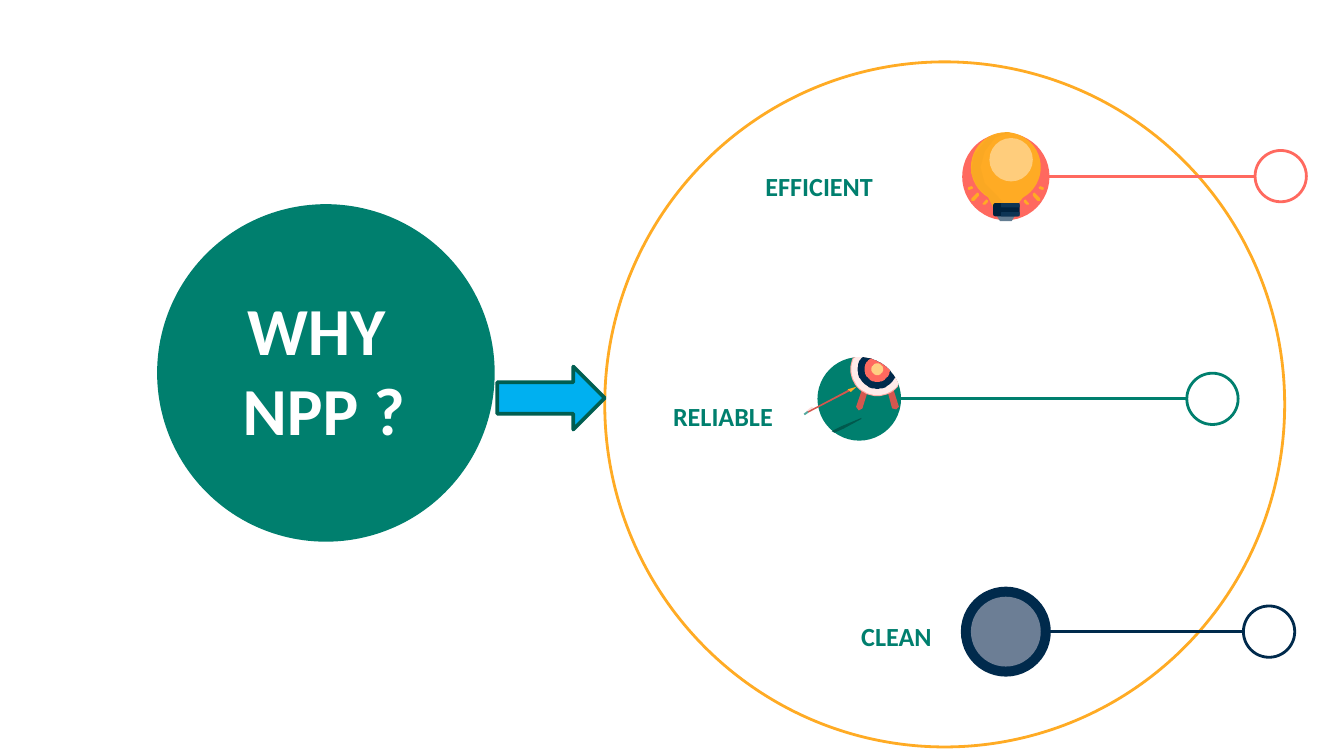
"""Builds the WHY NPP slide with three reasons inside a ring."""
import math
from pptx import Presentation
from pptx import util as u
from pptx.dml import color
from pptx.enum import shapes, text
from lxml import etree

Cm = u.Cm
HUE = {
    "green": "007F6E", "coral": "FF695F", "navy": "002A4C", "amber": "FFAB24",
    "white": "FFFFFF", "sky": "00B0F0", "edge": "005E51", "steel": "637D92",
    "slate": "6C7E95", "honey": "FAA823", "glow": "FFCD7C", "ink": "00223E",
    "band": "0D3555", "brick": "D4574F", "pink": "FFA9A4", "blush": "FFEBEA",
    "gold": "FFCF82", "rose": "FFDEDC", "mint": "54A99E", "shade": "00594D",
}
RGB = {name: color.RGBColor.from_string(code) for name, code in HUE.items()}
KIND = shapes.MSO_SHAPE

deck = Presentation()
deck.slide_width, deck.slide_height = Cm(25.4), Cm(14.29)
slide = deck.slides.add_slide(deck.slide_layouts[6])
tree = slide.shapes


def draw(kind, x, y, w, h, fill=None, line=None, size=1.5):
    item = tree.add_shape(kind, Cm(x), Cm(y), Cm(w), Cm(h))
    item.shadow.inherit = False
    if fill:
        item.fill.solid()
        item.fill.fore_color.rgb = RGB[fill]
    else:
        item.fill.background()
    if line:
        item.line.color.rgb = RGB[line]
        item.line.width = u.Pt(size)
    else:
        item.line.fill.background()


def trace(mid, fill, dots):
    pen = tree.build_freeform(*dots[0], scale=float(Cm(0.01)))
    pen.add_line_segments(dots[1:], close=True)
    item = pen.convert_to_shape(Cm(mid[0]), Cm(mid[1]))
    item.shadow.inherit = False
    item.fill.solid()
    item.fill.fore_color.rgb = RGB[fill]
    item.line.fill.background()


draw(KIND.OVAL, 11.43, 1.17, 12.85, 12.95, line="amber")
draw(KIND.OVAL, 2.97, 3.86, 6.38, 6.38, "green")

LEFT, MID, RIGHT = text.PP_ALIGN.LEFT, text.PP_ALIGN.CENTER, text.PP_ALIGN.RIGHT
labels = [
    ("WHY \vNPP ?", 3.68, 3.02, 4.88, 5.72, 36, "white", MID),
    ("EFFICIENT", 13.21, 3.3, 4.55, 0.76, 14, "green", MID),
    ("RELIABLE", 10.31, 7.65, 4.55, 0.76, 14, "green", RIGHT),
    ("CLEAN", 13.31, 11.81, 4.55, 0.76, 14, "green", RIGHT),
]
for words, x, y, w, h, size, hue, side in labels:
    frame = tree.add_textbox(Cm(x), Cm(y), Cm(w), Cm(h)).text_frame
    frame.word_wrap = True
    frame.vertical_anchor = text.MSO_ANCHOR.BOTTOM
    frame.margin_left = frame.margin_right = Cm(0.25)
    frame.margin_top = frame.margin_bottom = Cm(0.25)
    para = frame.paragraphs[0]
    para.text = words
    para.alignment = side
    para.font.name = "Calibri"
    para.font.size = u.Pt(size)
    para.font.bold = True
    para.font.color.rgb = RGB[hue]

ring = 0.97
rows = [
    (19, 23.72, 3.33, "coral"),
    (16.36, 22.43, 7.54, "green"),
    (18.64, 23.5, 11.94, "navy"),
]
for start, end, y, hue in rows:
    draw(KIND.OVAL, end, y - ring / 2, ring, ring, line=hue)
    wire = tree.add_connector(shapes.MSO_CONNECTOR.STRAIGHT, Cm(start), Cm(y), Cm(end), Cm(y))
    wire.line.color.rgb = RGB[hue]
    wire.line.width = u.Pt(1.5)
    props = wire.line._get_or_add_ln().getparent()
    etree.SubElement(props, "{http://schemas.openxmlformats.org/drawingml/2006/main}effectLst")

bulb, goal = (19.01, 3.34), (16.24, 7.54)
discs = [
    (19.01, 11.94, 1.7, "navy"), (19.01, 11.94, 1.32, "slate"),
    (*bulb, 1.65, "coral"), (*goal, 1.58, "green"), (19.01, 3.16, 1.32, "amber"),
]
for x, y, wide, hue in discs:
    draw(KIND.OVAL, x - wide / 2, y - wide / 2, wide, wide, hue)

trace(bulb, "steel", [(-19, 66), (-16, 76), (-11, 84), (11, 84), (16, 76), (19, 66)])
rays = [
    [(62, 20), (65, 18), (71, 20), (72, 24), (69, 25), (63, 23)],
    [(51, 32), (54, 30), (65, 41), (65, 46), (60, 46), (51, 36)],
    [(34, 45), (37, 43), (44, 51), (43, 53), (39, 53), (34, 48)],
]
for flip in (1, -1):
    for ray in rays:
        trace(bulb, "amber", [(flip * x, y) for x, y in ray])
trace(bulb, "amber", [(-35, 36), (-24, 50), (-19, 68), (19, 68), (24, 50), (35, 36)])
trace(bulb, "honey", [
    (0, -84), (-33, -74), (-60, -41), (-66, -8), (-53, 20), (-35, 36), (-19, 68), (0, 68),
    (-4, 50), (-17, 36), (-40, 13), (-48, -18), (-40, -48), (-20, -74), (8, -84),
])
draw(KIND.OVAL, 18.7, 2.61, 0.82, 0.82, "glow")
draw(KIND.ROUNDED_RECTANGLE, 18.77, 3.84, 0.5, 0.25, "ink")
for y in (3.84, 4.01):
    draw(KIND.ROUNDED_RECTANGLE, 18.92, y, 0.35, 0.08, "band")

trace(goal, "brick", [(19, -58), (29, -56), (6, 18), (-1, 22), (-6, 15)])
trace(goal, "brick", [(42, -58), (52, -57), (75, 15), (70, 20), (62, 18)])
eye, rim = (34, -56), 79
for reach, hue in [(51, "pink"), (49, "blush"), (37, "navy"), (24, "coral"), (11, "gold")]:
    dots = []
    for turn in range(0, 360, 5):
        dx, dy = math.cos(math.radians(turn)), math.sin(math.radians(turn))
        dot = eye[0] * dx + eye[1] * dy
        gap = math.sqrt(dot ** 2 + rim ** 2 - eye[0] ** 2 - eye[1] ** 2) - dot
        far = min(reach, gap)
        dots.append((eye[0] + far * dx, eye[1] + far * dy))
    trace(goal, hue, dots)

dart = [
    ("rose", [(-90, 15), (-100, 23), (-98, 26), (-86, 21), (-85, 18)]),
    ("brick", [(-100, 25), (-19, -18), (-17, -15), (-98, 27)]),
    ("amber", [(-22, -18), (-5, -23), (-16, -13)]),
    ("mint", [(-98, 23), (-105, 28), (-103, 31), (-96, 26)]),
    ("shade", [(4, 36), (-32, 51), (-52, 61), (-47, 64), (-29, 56), (4, 38)]),
]
for hue, dots in dart:
    trace(goal, hue, dots)

draw(KIND.RIGHT_ARROW, 9.4, 6.93, 2.03, 1.19, "sky", "edge", 2)
deck.save("out.pptx")
